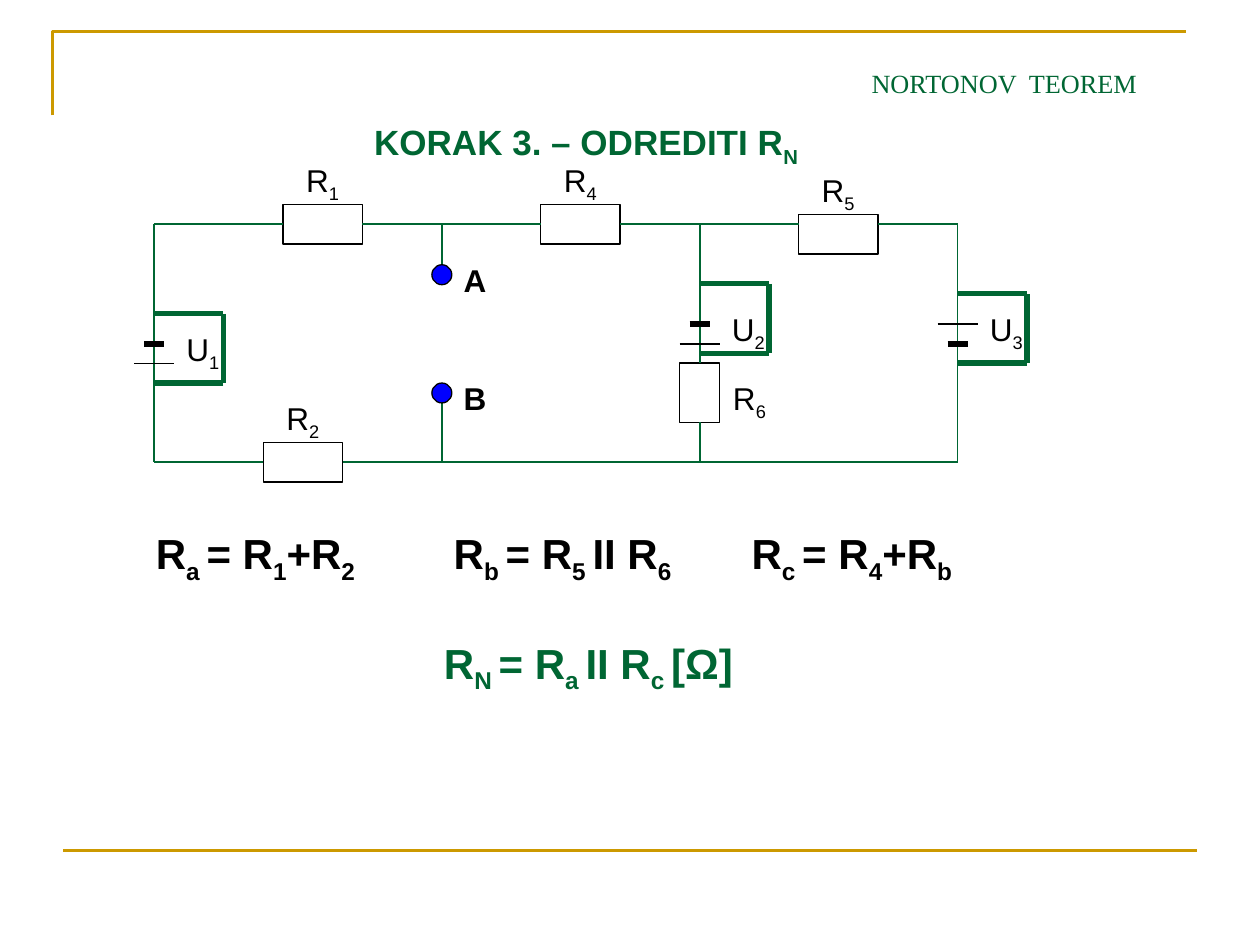
from typing import NamedTuple

from lxml import etree
from pptx import Presentation
from pptx.dml.color import RGBColor
from pptx.enum.shapes import MSO_CONNECTOR, MSO_SHAPE
from pptx.enum.text import MSO_ANCHOR, MSO_AUTO_SIZE, PP_ALIGN
from pptx.oxml.ns import qn
from pptx.util import Pt

STRAIGHT = MSO_CONNECTOR.STRAIGHT
RECTANGLE, OVAL = MSO_SHAPE.RECTANGLE, MSO_SHAPE.OVAL
ANCHOR_TOP, ANCHOR_BOTTOM = MSO_ANCHOR.TOP, MSO_ANCHOR.BOTTOM
NO_AUTOFIT = MSO_AUTO_SIZE.NONE
LEFT_ALIGN, CENTER_ALIGN = PP_ALIGN.LEFT, PP_ALIGN.CENTER

COLORS = {"green": "006633", "gold": "CC9900", "black": "000000",
          "blue": "0000FF", "white": "FFFFFF"}

# Circuit rails and branches
TOP, BOTTOM = 128.2, 264.2
LEFT, TERMINAL, MIDDLE, RIGHT = 88, 252.5, 399.8, 547.2
LONG, SHORT = 45.4, 22.6
LOOP = 39.6
PLATE_GAP = 11.4
DOT = 11.4
SIDE_TOP, SIDE_LEFT, SIDE_BOTTOM, SIDE_RIGHT = range(4)


class Point(NamedTuple):
    x: float
    y: float


class Joint(NamedTuple):
    resistor: str
    side: int


class Box(NamedTuple):
    left: float
    top: float
    width: float
    height: float


class TextStyle(NamedTuple):
    size: float
    color: str = "black"
    bold: bool = False
    font: str = "Arial"
    align: PP_ALIGN = LEFT_ALIGN
    anchor: MSO_ANCHOR = ANCHOR_TOP
    wrap: bool = True


class Resistor(NamedTuple):
    number: str
    center: Point
    width: float = LONG
    height: float = SHORT
    label_shift: Point = Point(-16.6, -39.6)


class Source(NamedTuple):
    number: str
    x: float
    upper_plate: float
    loop_top: float
    thick_on_top: bool


class Terminal(NamedTuple):
    name: str
    y: float
    rail: float


class Formula(NamedTuple):
    box: Box
    terms: tuple[str, ...]
    color: str = "black"


LABEL = TextStyle(18, wrap=False)
TERMINAL_LABEL = TextStyle(18, bold=True)
HEADER = TextStyle(15, "green", font="Times New Roman", align=CENTER_ALIGN,
                   anchor=ANCHOR_BOTTOM)
HEADING = TextStyle(20, "green", bold=True)

RESISTORS = [
    Resistor("1", Point(184.4, TOP)),
    Resistor("2", Point(173.2, BOTTOM)),
    Resistor("4", Point(331.7, TOP)),
    Resistor("5", Point(479, TOP + 5.7)),
    Resistor("6", Point(MIDDLE, 224.4), SHORT, 34, Point(12, -11.3)),
]
SOURCES = [
    Source("1", LEFT, 196.5, 179.3, True),
    Source("2", MIDDLE, 185.2, 162.2, True),
    Source("3", RIGHT, 185.2, 167.9, False),
]
TERMINALS = [Terminal("A", 157, TOP), Terminal("B", 224.6, BOTTOM)]
WIRES = [
    (Point(LEFT, TOP), Point(LEFT, BOTTOM)),
    (Point(LEFT, TOP), Joint("1", SIDE_LEFT)),
    (Joint("1", SIDE_RIGHT), Point(TERMINAL, TOP)),
    (Point(TERMINAL, TOP), Joint("4", SIDE_LEFT)),
    (Joint("4", SIDE_RIGHT), Point(MIDDLE, TOP)),
    (Point(MIDDLE, TOP), Point(479 - LONG / 2, TOP)),
    (Point(479 + LONG / 2, TOP), Point(RIGHT, TOP)),
    (Point(RIGHT, TOP), Point(RIGHT, BOTTOM)),
    (Point(MIDDLE, TOP), Joint("6", SIDE_TOP)),
    (Joint("6", SIDE_BOTTOM), Point(MIDDLE, BOTTOM)),
    (Point(LEFT, BOTTOM), Joint("2", SIDE_LEFT)),
    (Joint("2", SIDE_RIGHT), Point(TERMINAL, BOTTOM)),
    (Point(TERMINAL, BOTTOM), Point(MIDDLE, BOTTOM)),
    (Point(MIDDLE, BOTTOM), Point(RIGHT, BOTTOM)),
]
FORMULAS = [
    Formula(Box(82, 298, 170, 40), ("R", "a ", "= R", "1", "+R", "2")),
    Formula(Box(252.2, 298, 170, 40), ("R", "b ", "= R", "5 ", "II R", "6")),
    Formula(Box(422.4, 298, 170, 40), ("R", "c ", "= R", "4", "+R", "b")),
    Formula(Box(246.6, 360.6, 215, 40),
            ("R", "N ", "= R", "a ", "II R", "c ", "[Ω]"), "green"),
]


def rgb(name: str) -> RGBColor:
    return RGBColor.from_string(COLORS[name])


def write(shape, terms: tuple[str, ...], style: TextStyle) -> None:
    """Fill a shape with text in which every second term is a subscript."""
    frame = shape.text_frame
    frame.word_wrap = style.wrap
    frame.auto_size = NO_AUTOFIT
    frame.vertical_anchor = style.anchor
    para = frame.paragraphs[0]
    para.alignment = style.align
    para.font.size, para.font.bold = Pt(style.size), style.bold
    para.font.name = style.font
    para.font.color.rgb = rgb(style.color)
    for position, term in enumerate(terms):
        span = para.add_run()
        span.text = term
        if position % 2:
            span._r.get_or_add_rPr().set("baseline", "-25000")


def add_text(page, box: Box, terms: tuple[str, ...], style: TextStyle) -> None:
    write(page.shapes.add_textbox(*map(Pt, box)), terms, style)


def add_line(page, start: Point, end: Point, color: str, width: float):
    line = page.shapes.add_connector(STRAIGHT, *map(Pt, (*start, *end)))
    line.line.color.rgb, line.line.width = rgb(color), Pt(width)
    etree.SubElement(line._element.spPr, qn("a:effectLst"))
    return line


def add_outlined(page, kind, center: Point, width: float, height: float, fill: str):
    shape = page.shapes.add_shape(kind, Pt(center.x - width / 2),
                                  Pt(center.y - height / 2), Pt(width), Pt(height))
    shape.shadow.inherit = False
    shape.fill.solid()
    shape.fill.fore_color.rgb = rgb(fill)
    shape.line.color.rgb, shape.line.width = rgb("black"), Pt(0.75)
    return shape


def add_resistor(page, item: Resistor):
    x, y = item.center
    shape = add_outlined(page, RECTANGLE, item.center, item.width, item.height, "white")
    add_text(page, Box(x + item.label_shift.x, y + item.label_shift.y, 33, 31.5),
             ("R", item.number), LABEL)
    return shape


def add_wire(page, ends: tuple, resistors: dict) -> None:
    points = [end if isinstance(end, Point) else Point(0, 0) for end in ends]
    line = add_line(page, *points, "green", 1)
    for end, connect in zip(ends, (line.begin_connect, line.end_connect)):
        if isinstance(end, Joint):
            connect(resistors[end.resistor], end.side)


def add_source(page, item: Source) -> None:
    """Draw a cell's two plates, its label and the loop that shorts it."""
    plates = [(5.7, 3), (11.4, 0.75)]
    for step, (reach, width) in enumerate(plates if item.thick_on_top else plates[::-1]):
        y = item.upper_plate + step * PLATE_GAP
        add_line(page, Point(item.x - reach, y), Point(item.x + reach, y), "black", width)
    add_text(page, Box(item.x + 11.4, item.upper_plate - 11.5, 33, 31.5),
             ("U", item.number), LABEL)
    far, low = item.x + LOOP, item.loop_top + LOOP
    corners = [Point(item.x, item.loop_top), Point(far, item.loop_top),
               Point(far, low), Point(item.x, low)]
    for start, end in zip(corners, corners[1:]):
        add_line(page, start, end, "green", 3)


def add_terminal(page, item: Terminal) -> None:
    center = Point(TERMINAL, item.y)
    add_line(page, Point(TERMINAL, item.rail), center, "green", 1)
    add_outlined(page, OVAL, center, DOT, DOT, "blue")
    add_text(page, Box(TERMINAL + 5.3, item.y - 11.5, 45, 29), (item.name,), TERMINAL_LABEL)


def add_frame(page) -> None:
    builder = page.shapes.build_freeform(Pt(30), Pt(66), scale=1.0)
    builder.add_line_segments([(Pt(30), Pt(18)), (Pt(678), Pt(18))], close=False)
    corner = builder.convert_to_shape()
    corner.shadow.inherit = False
    corner.fill.background()
    corner.line.color.rgb, corner.line.width = rgb("gold"), Pt(1.5)
    add_line(page, Point(36, 486), Point(684, 486), "gold", 1.5)


def main() -> None:
    deck = Presentation()
    deck.slide_width, deck.slide_height = Pt(720), Pt(540)
    page = deck.slides.add_slide(deck.slide_layouts[5])
    add_frame(page)
    add_text(page, Box(427.7, 20.2, 292.3, 39.6), ("NORTONOV  TEOREM",), HEADER)
    title = page.shapes.title
    title.left, title.top, title.width, title.height = map(Pt, (206.6, 65.5, 272, 34.6))
    write(title, ("KORAK 3. – ODREDITI R", "N"), HEADING)

    resistors = {item.number: add_resistor(page, item) for item in RESISTORS}
    for ends in WIRES:
        add_wire(page, ends, resistors)
    for source in SOURCES:
        add_source(page, source)
    for terminal in TERMINALS:
        add_terminal(page, terminal)
    for formula in FORMULAS:
        add_text(page, formula.box, formula.terms, TextStyle(24, formula.color, bold=True))
    deck.save("out.pptx")


if __name__ == "__main__":
    main()
